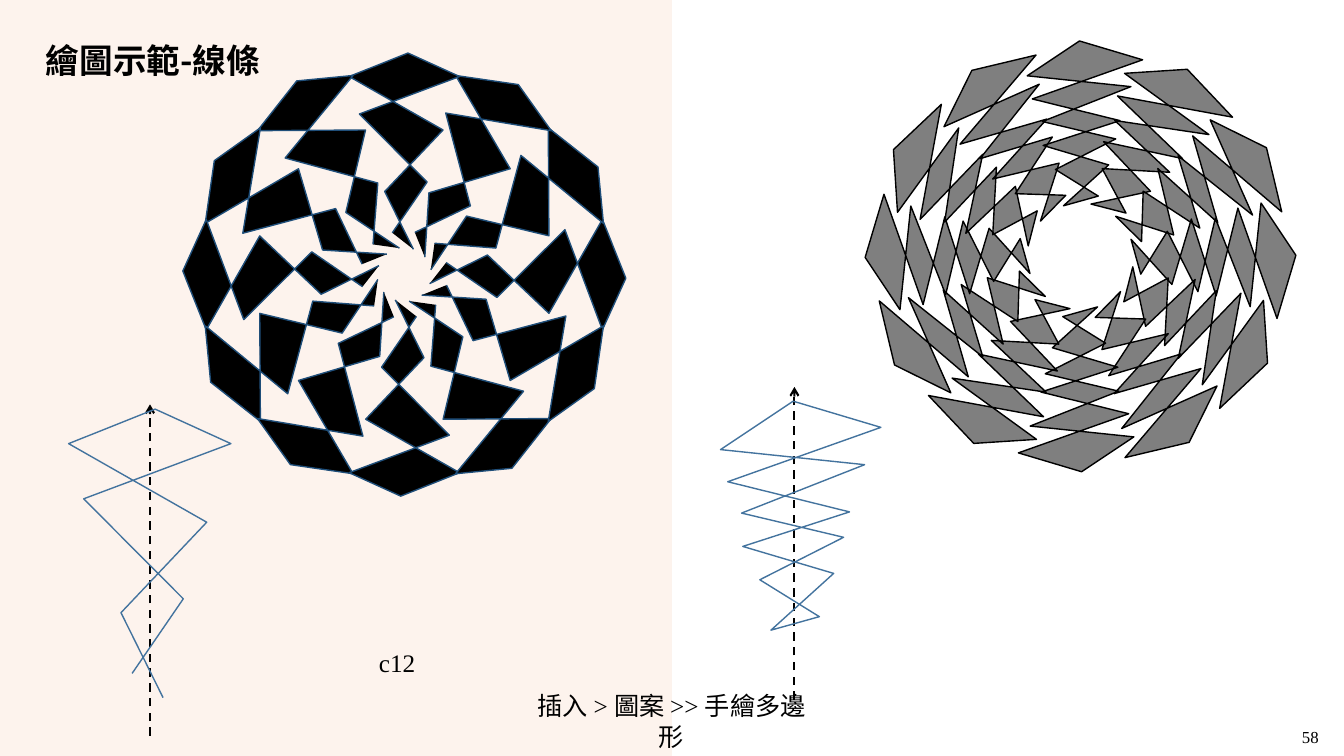
"""Build a slide showing two line motifs and the twelve-petal wheels made from them."""
from math import cos, radians, sin

from lxml.etree import SubElement
from pptx import Presentation
from pptx.dml.color import RGBColor
from pptx.enum.dml import MSO_LINE
from pptx.enum.shapes import MSO_CONNECTOR, MSO_SHAPE
from pptx.enum.text import MSO_ANCHOR, PP_ALIGN
from pptx.oxml.ns import qn
from pptx.util import Cm, Pt

COLORS = {
    "panel": "F4B183",
    "divider": "FBE5D6",
    "ink": "000000",
    "sketch": "43739E",
    "petal_edge": "1F4E79",
}
SERIF = "Times New Roman"
SANS = "Noto Sans CJK SC"
PETALS = 12

OPEN_MOTIF = [
    (3.33, 16.97), (4.62, 15.09), (2.11, 12.57), (5.82, 11.18), (3.91, 10.31),
    (1.73, 11.18), (5.21, 13.16), (3.05, 15.44), (4.11, 17.58),
]
CLOSED_MOTIF = [
    (19.99, 10.11), (18.16, 11.33), (21.79, 11.71), (18.69, 12.93), (21.26, 13.54),
    (19.15, 14.61), (20.65, 15.54), (19.43, 15.88), (21.01, 14.45), (18.72, 13.77),
    (21.41, 12.9), (18.34, 12.14), (22.2, 10.77),
]


def placed(motif, scale, center):
    xs, ys = zip(*motif)
    middle_x, middle_y = (min(xs) + max(xs)) / 2, (min(ys) + max(ys)) / 2
    return [
        (center[0] + scale * (x - middle_x), center[1] + scale * (y - middle_y))
        for x, y in motif
    ]


class MotifPage:
    def __init__(self, deck):
        self.page = deck.slides.add_slide(deck.slide_layouts[6])

    def color(self, format_, name, opacity=100):
        format_.solid()
        format_.fore_color.rgb = RGBColor.from_string(COLORS[name])
        if opacity < 100:
            color = format_._xPr.find(qn("a:solidFill"))[0]
            SubElement(color, qn("a:alpha"), val=str(opacity * 1000))

    def box(self, preset, left, top, width, height, fill=None, opacity=100):
        box = self.page.shapes.add_shape(preset, Cm(left), Cm(top), Cm(width), Cm(height))
        box.shadow.inherit = False
        box.line.fill.background()
        if fill:
            self.color(box.fill, fill, opacity)
        else:
            box.fill.background()
        return box

    def label(self, left, top, width, height):
        return self.page.shapes.add_textbox(Cm(left), Cm(top), Cm(width), Cm(height))

    def add_text(self, box, text, size, font=SERIF, bold=False, align=PP_ALIGN.LEFT,
                 anchor=MSO_ANCHOR.TOP, inset=0.25):
        frame = box.text_frame
        frame.word_wrap = True
        frame.vertical_anchor = anchor
        frame.margin_left = frame.margin_right = Cm(inset)
        para = frame.paragraphs[0]
        para.alignment = align
        span = para.add_run()
        span.text = text
        span.font.name = font
        span.font.size = Pt(size)
        span.font.bold = bold
        span.font.color.rgb = RGBColor.from_string(COLORS["ink"])
        SubElement(span.font._element, qn("a:ea"), typeface=SANS)

    def line(self, x, bottom, top, color, weight, opacity=100):
        line = self.page.shapes.add_connector(
            MSO_CONNECTOR.STRAIGHT, Cm(x), Cm(bottom), Cm(x), Cm(top))
        self.color(line.line.fill, color, opacity)
        line.line.width = Pt(weight)
        SubElement(line._element.spPr, qn("a:effectLst"))
        return line

    def axis(self, x, bottom, top):
        axis = self.line(x, bottom, top, "ink", 1.5)
        axis.line.dash_style = MSO_LINE.DASH
        SubElement(axis.line._get_or_add_ln(), qn("a:tailEnd"), type="arrow")

    def outline(self, shapes, points, closed, edge):
        corners = [(Cm(x), Cm(y)) for x, y in points]
        builder = shapes.build_freeform(*corners[0], scale=1.0)
        builder.add_line_segments(corners[1:], close=closed)
        outline = builder.convert_to_shape()
        outline.shadow.inherit = False
        outline.fill.background()
        self.color(outline.line.fill, edge)
        outline.line.width = Pt(1)
        return outline

    def sketch(self, motif, closed):
        self.outline(self.page.shapes, motif, closed, "sketch")

    def wheel(self, motif, closed, scale, hub, offset, edge, opacity=100):
        group = self.page.shapes.add_group_shape()
        step = 360 // PETALS
        for turn in range(PETALS):
            angle = (90 - step * turn) % 360
            cosine, sine = cos(radians(angle)), sin(radians(angle))
            center = (hub[0] + offset[0] * cosine - offset[1] * sine,
                      hub[1] + offset[0] * sine + offset[1] * cosine)
            petal = self.outline(group.shapes, placed(motif, scale, center), closed, edge)
            self.color(petal.fill, "ink", opacity)
            petal.rotation = angle


def main():
    deck = Presentation()
    deck.slide_width, deck.slide_height = Cm(33.87), Cm(19.05)
    slide = MotifPage(deck)

    slide.box(MSO_SHAPE.RECTANGLE, 0, 0, 16.93, 19.05, "panel", 14)
    slide.line(16.93, 19.05, 0, "divider", 0.25, 50)
    slide.axis(3.78, 18.54, 10.19)

    menu_hint = slide.box(MSO_SHAPE.ROUNDED_RECTANGLE, 12.9, 17.6, 8.05, 1.14)
    slide.add_text(menu_hint, "插入 > 圖案 >> 手繪多邊形", 18, align=PP_ALIGN.CENTER,
                   anchor=MSO_ANCHOR.MIDDLE, inset=0.4)
    title = slide.label(0.91, 1.02, 15.11, 1.12)
    slide.add_text(title, "繪圖示範-線條", 24, SANS, True, anchor=MSO_ANCHOR.MIDDLE)
    title.text_frame.paragraphs[0].line_spacing = 0.9
    slide.add_text(slide.label(32.56, 18.19, 1.1, 0.76), "58", 12)

    slide.sketch(OPEN_MOTIF, False)
    slide.wheel(OPEN_MOTIF, False, 0.68, (10.19, 6.92), (0, -3.11), "petal_edge")
    slide.add_text(slide.label(9.3, 16.18, 1.6, 1.02), "c12", 18)

    slide.axis(20.02, 17.63, 9.75)
    slide.sketch(CLOSED_MOTIF, True)
    slide.wheel(CLOSED_MOTIF, True, 0.72, (27.23, 6.46), (0.11, -3.35), "ink", 50)

    deck.save("out.pptx")


if __name__ == "__main__":
    main()
